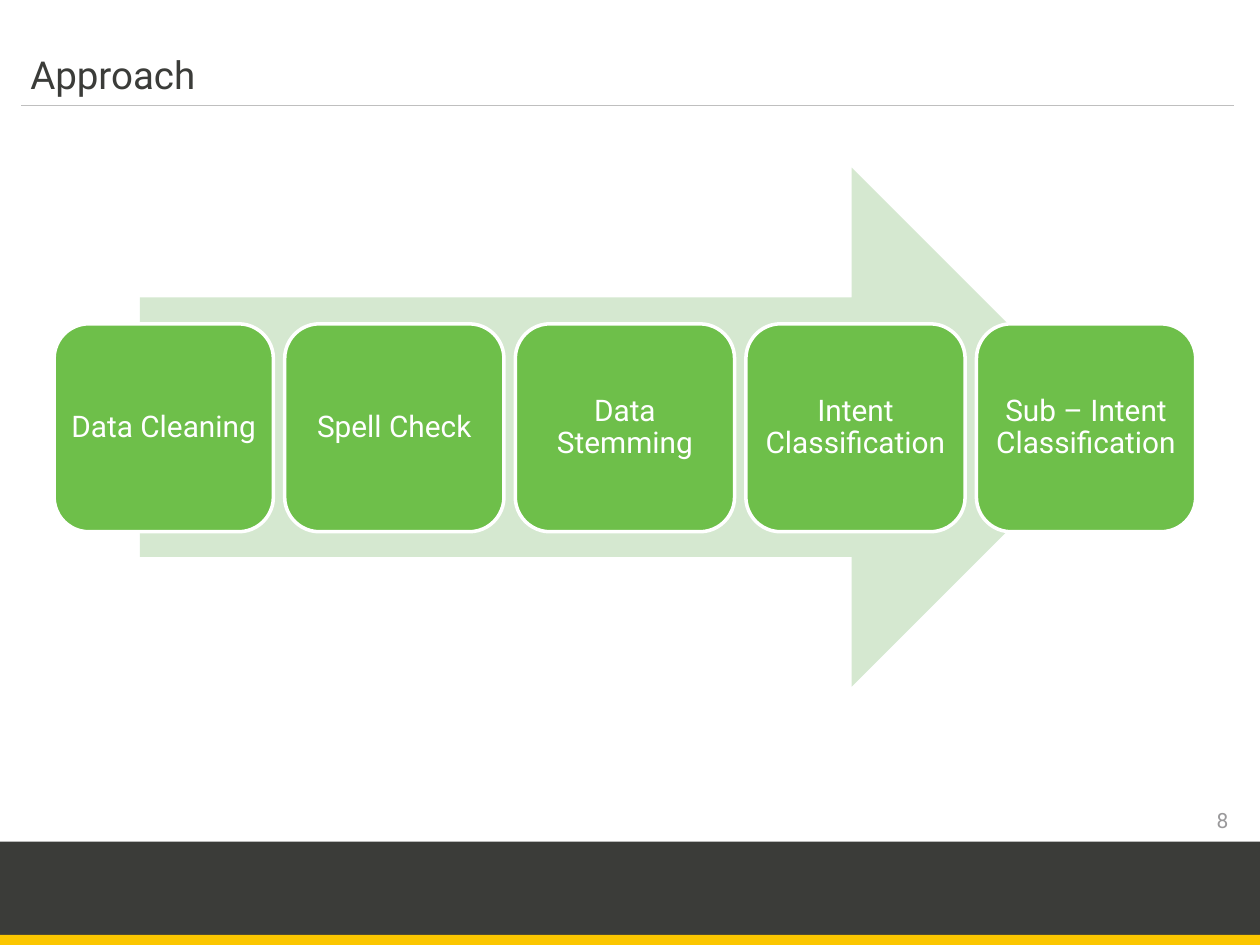
from dataclasses import dataclass

from pptx import Presentation
from pptx.dml.color import RGBColor
from pptx.enum import shapes, text
from pptx.oxml.ns import qn
from pptx.util import Inches, Pt
from lxml import etree

FONT = "Roboto"
CHARCOAL = RGBColor(0x3B, 0x3C, 0x39)
YELLOW = RGBColor(0xFB, 0xC6, 0x00)
RULE_GRAY = RGBColor(0xBF, 0xBF, 0xBF)
NUMBER_GRAY = RGBColor(0x9A, 0x99, 0x9B)
GREEN = RGBColor(0x6E, 0xBF, 0x4A)
PALE_GREEN = RGBColor(0xD5, 0xE8, 0xD0)
WHITE = RGBColor(0xFF, 0xFF, 0xFF)

STEPS = ["Data Cleaning", "Spell Check", "Data Stemming",
         "Intent Classification", "Sub – Intent Classification"]
STEP_LEFT, STEP_TOP, STEP_PITCH = 0.43, 2.57, 1.83
STEP_WIDTH, STEP_HEIGHT = 1.74, 1.65


@dataclass
class Box:
    left: float
    top: float
    width: float
    height: float

    def lengths(self):
        return [Inches(n) for n in (self.left, self.top, self.width, self.height)]


def add_filled(slide, kind, box: Box, color: RGBColor):
    shape = slide.shapes.add_shape(kind, *box.lengths())
    shape.shadow.inherit = False
    shape.fill.solid()
    shape.fill.fore_color.rgb = color
    shape.line.fill.background()
    return shape


def write(shape, words: str, size: float, color: RGBColor, align, anchor, insets):
    """Set one paragraph; insets run left, top, right, bottom in inches."""
    frame = shape.text_frame
    frame.text = words
    frame.word_wrap = True
    frame.auto_size = text.MSO_AUTO_SIZE.NONE
    frame.vertical_anchor = anchor
    (frame.margin_left, frame.margin_top,
     frame.margin_right, frame.margin_bottom) = [Inches(n) for n in insets]
    paragraph = frame.paragraphs[0]
    paragraph.alignment = align
    font = paragraph.runs[0].font
    font.name, font.size, font.color.rgb = FONT, Pt(size), color
    return paragraph


def add_step(slide, index: int, label: str):
    box = Box(STEP_LEFT + index * STEP_PITCH, STEP_TOP, STEP_WIDTH, STEP_HEIGHT)
    shape = add_filled(slide, shapes.MSO_SHAPE.ROUNDED_RECTANGLE, box, GREEN)
    shape.line.color.rgb = WHITE
    shape.line.width = Pt(2)
    paragraph = write(shape, label, 17, WHITE, text.PP_ALIGN.CENTER,
                      text.MSO_ANCHOR.MIDDLE, (0.05, 0.07, 0.05, 0.07))
    paragraph.line_spacing = 0.9


def add_title(slide, words: str):
    title = slide.shapes.title
    title.left, title.top, title.width, title.height = Box(0.24, 0.33, 9.38, 0.49).lengths()
    write(title, words, 22, CHARCOAL, text.PP_ALIGN.LEFT,
          text.MSO_ANCHOR.BOTTOM, (0, 0.05, 0.1, 0.05))


def add_rule(slide):
    rule = slide.shapes.add_connector(shapes.MSO_CONNECTOR.STRAIGHT, Inches(0.17),
                                      Inches(0.84), Inches(9.79), Inches(0.84))
    rule.line.color.rgb = RULE_GRAY
    rule.line.width = Pt(0.75)
    etree.SubElement(rule._element.spPr, qn("a:effectLst"))


def main():
    presentation = Presentation()
    presentation.slide_width, presentation.slide_height = Inches(10), Inches(7.5)
    slide = presentation.slides.add_slide(presentation.slide_layouts[5])

    # Footer bands and page number
    rectangle = shapes.MSO_SHAPE.RECTANGLE
    add_filled(slide, rectangle, Box(0, 6.68, 10, 0.82), CHARCOAL)
    add_filled(slide, rectangle, Box(0, 7.42, 10, 0.08), YELLOW)
    number = slide.shapes.add_textbox(*Box(7.21, 6.36, 2.69, 0.3).lengths())
    write(number, "8", 12, NUMBER_GRAY, text.PP_ALIGN.RIGHT,
          text.MSO_ANCHOR.TOP, (0.1, 0.05, 0.15, 0.05))

    # Heading
    add_title(slide, "Approach")
    add_rule(slide)

    # Process arrow with its steps
    add_filled(slide, shapes.MSO_SHAPE.RIGHT_ARROW, Box(1.11, 1.33, 7.71, 4.12), PALE_GREEN)
    for index, label in enumerate(STEPS):
        add_step(slide, index, label)

    presentation.save("out.pptx")


if __name__ == "__main__":
    main()
